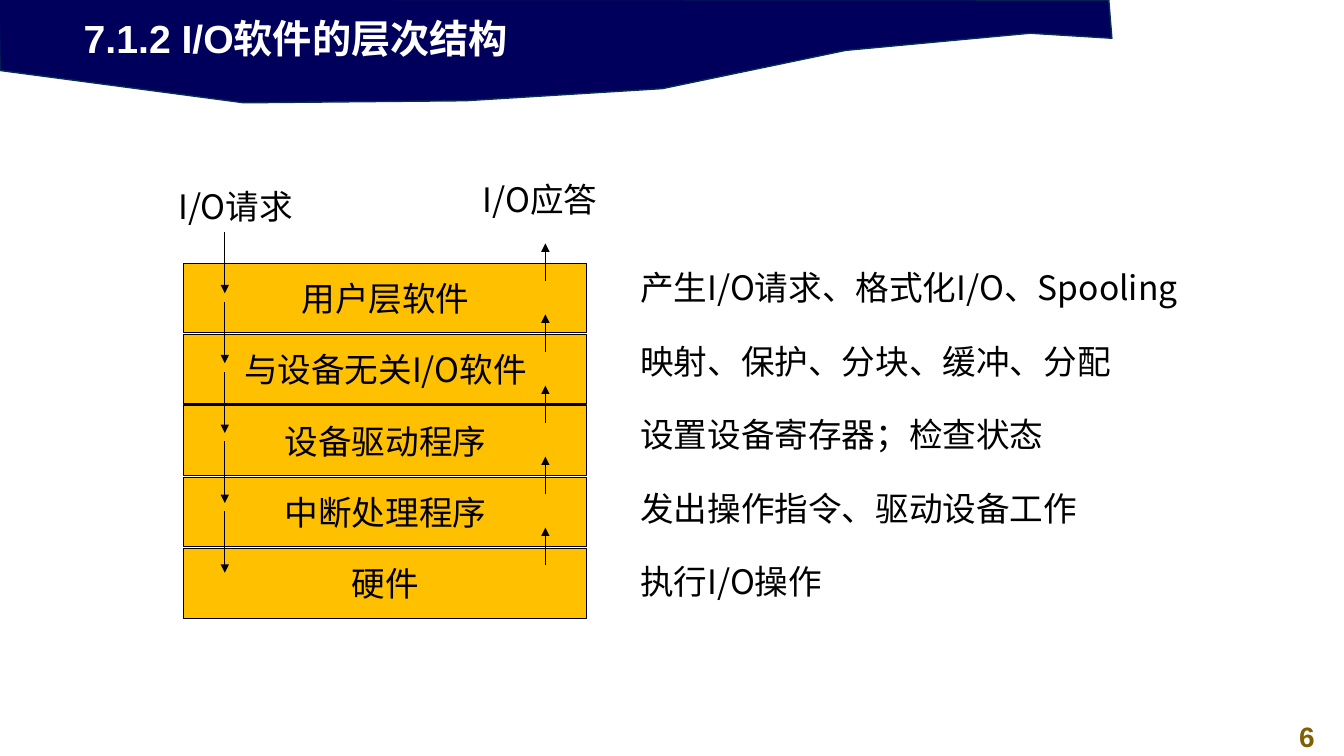
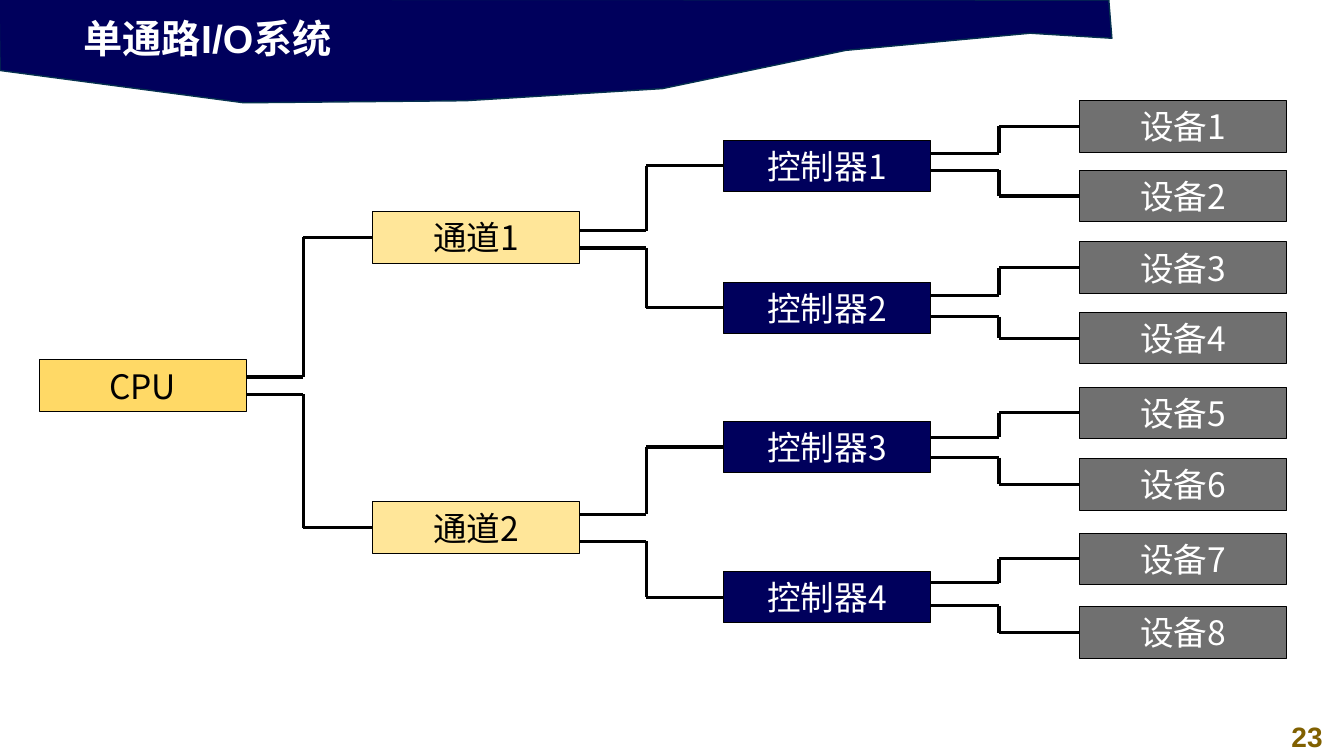
"""Build two slides on the layers of I/O software and a single-path I/O system."""
from dataclasses import dataclass

from lxml import etree
from pptx import Presentation
from pptx import util as u
from pptx.dml.color import RGBColor
from pptx.enum import shapes, text
from pptx.oxml import ns

HEIGHT = u.Inches(7.5)
WIDTH = HEIGHT * 16 // 9

NAVY = RGBColor(0x00, 0x00, 0x5C)
TEAL = RGBColor(0x05, 0x30, 0x4F)
BROWN = RGBColor(0x80, 0x60, 0x00)
AMBER = RGBColor(0xFF, 0xC0, 0x00)
GOLD = RGBColor(0xFF, 0xD9, 0x66)
CREAM = RGBColor(0xFF, 0xE6, 0x99)
GREY = RGBColor(0x70, 0x70, 0x70)
BLACK = RGBColor(0x00, 0x00, 0x00)
WHITE = RGBColor(0xFF, 0xFF, 0xFF)

HEAD_FONT = "Arial"
BODY_FONT = "Noto Sans CJK SC"

BAND = [(-0.08, -0.13), (0, 9.33), (18.15, 13.6), (34.65, 13.33), (49.28, 11.73),
        (62.93, 6.67), (76.65, 4.4), (82.73, 5.07), (82.5, 0)]
TITLE_AREA = (5.48, 1.2, 57.6, 7.6)
NUMBER_AREA = (94.5, 94.53, 5.5, 5.87)

LAYERS = [
    ("用户层软件", "产生I/O请求、格式化I/O、Spooling"),
    ("与设备无关I/O软件", "映射、保护、分块、缓冲、分配"),
    ("设备驱动程序", "设置设备寄存器；检查状态"),
    ("中断处理程序", "发出操作指令、驱动设备工作"),
    ("硬件", "执行I/O操作"),
]

NODE_WIDTH, NODE_HEIGHT = 15.38, 6.8


@dataclass
class Level:
    """One column of the tree: its look, node tops and pairs of branch starts."""
    name: str
    left: float
    fill: RGBColor
    ink: RGBColor
    tops: list
    exits: list
    bend: float = 0


LEVELS = [
    Level("CPU", 2.93, GOLD, BLACK, [47.6], [49.87, 52.13], 22.58),
    Level("通道", 27.75, CREAM, BLACK, [28, 66.4], [30.53, 32.8, 68, 71.6], 48.1),
    Level("控制器", 53.85, NAVY, WHITE, [18.53, 37.33, 55.73, 75.6],
          [20.27, 22.53, 39.07, 41.87, 57.87, 60.53, 77.07, 80.13], 74.33),
    Level("设备", 80.33, GREY, WHITE,
          [13.33, 22.53, 32, 41.33, 51.2, 60.67, 70.53, 80.27], []),
]


def across(share):
    """Turn a percentage of the slide width into a length."""
    return u.Emu(round(WIDTH * share / 100))


def down(share):
    """Turn a percentage of the slide height into a length."""
    return u.Emu(round(HEIGHT * share / 100))


def place(left, top, width, height):
    """Turn an area in percentages into four lengths."""
    return across(left), down(top), across(width), down(height)


def write(frame, words, size=24, ink=BLACK, face=BODY_FONT, bold=False,
          align=text.PP_ALIGN.LEFT, anchor=text.MSO_ANCHOR.TOP, wrap=True):
    """Put one formatted span into a text frame."""
    frame.word_wrap = wrap
    frame.auto_size = text.MSO_AUTO_SIZE.NONE
    frame.vertical_anchor = anchor
    para = frame.paragraphs[0]
    para.alignment = align
    span = para.add_run()
    span.text = words
    span.font.size = u.Pt(size)
    span.font.bold = bold
    span.font.name = face
    span.font.color.rgb = ink
    east = etree.SubElement(span.font._element, ns.qn("a:ea"))
    east.set("typeface", BODY_FONT)


def add_label(page, area, words, **style):
    """Add a text box."""
    box = page.shapes.add_textbox(*place(*area))
    write(box.text_frame, words, **style)


def paint(shape, fill, line, weight):
    """Give a shape a flat fill and an outline."""
    shape.shadow.inherit = False
    shape.fill.solid()
    shape.fill.fore_color.rgb = fill
    shape.line.color.rgb = line
    shape.line.width = u.Pt(weight)


def add_block(page, area, words, fill, ink=BLACK):
    """Add an outlined rectangle with centred text."""
    block = page.shapes.add_shape(shapes.MSO_SHAPE.RECTANGLE, *place(*area))
    paint(block, fill, BLACK, 0.75)
    write(block.text_frame, words, ink=ink, align=text.PP_ALIGN.CENTER,
          anchor=text.MSO_ANCHOR.MIDDLE, wrap=False)


def add_line(page, start, end, weight=2.25, arrow=False):
    """Add a straight line, with an arrowhead at its end on request."""
    line = page.shapes.add_connector(
        shapes.MSO_CONNECTOR.STRAIGHT, across(start[0]), down(start[1]),
        across(end[0]), down(end[1]))
    line.line.color.rgb = BLACK
    line.line.width = u.Pt(weight)
    if arrow:
        outline = line.line._get_or_add_ln()
        etree.SubElement(outline, ns.qn("a:tailEnd")).set("type", "triangle")
    etree.SubElement(line._element.spPr, ns.qn("a:effectLst"))


def add_elbow(page, start, bend, end):
    """Join two points by a horizontal, a vertical and a horizontal line."""
    points = [start, (bend, start[1]), (bend, end[1]), end]
    for first, second in zip(points, points[1:]):
        add_line(page, first, second)


def set_up_layout(layout, page):
    """Place the title and draw the band on the layout shared by all pages."""
    title = layout.placeholders[0]
    title.left, title.top, title.width, title.height = place(*TITLE_AREA)
    points = [(across(x), down(y)) for x, y in BAND]
    builder = page.shapes.build_freeform(*points[0])
    builder.add_line_segments(points[1:], close=True)
    band = builder.convert_to_shape()
    paint(band, NAVY, TEAL, 1)
    layout.shapes.element.insert(2, band.element)


def add_page(deck, layout, title, number):
    """Add a page with its title and page number."""
    page = deck.slides.add_slide(layout)
    write(page.shapes.title.text_frame, title, 28, WHITE, HEAD_FONT, True)
    add_label(page, NUMBER_AREA, number, size=20, ink=BROWN, face=HEAD_FONT,
              bold=True, align=text.PP_ALIGN.CENTER)
    return page


def draw_layers(page):
    """Draw the stack of layers, their duties and the request and reply arrows."""
    for row, (layer, duty) in enumerate(LAYERS):
        add_block(page, (13.68, 34.8 + 9.44 * row, 30, 9.2), layer, AMBER)
        add_label(page, (46.9, 34.67 + 9.73 * row, 49, 6.67), duty)
    for row in range(len(LAYERS)):
        request, reply = 30.67 + 9.24 * row, 37.2 + 9.4 * row
        add_line(page, (16.73, request), (16.73, request + 8.13), 0.75, True)
        add_line(page, (40.58, reply), (40.58, reply - 5), 0.75, True)
    add_label(page, (12.53, 23.87, 13, 6.67), "I/O请求")
    add_label(page, (35.18, 23.07, 13, 6.67), "I/O应答")


def draw_tree(page):
    """Draw the tree from the processor to the devices."""
    for level in LEVELS:
        for index, top in enumerate(level.tops, 1):
            words = f"{level.name}{index}" if len(level.tops) > 1 else level.name
            add_block(page, (level.left, top, NODE_WIDTH, NODE_HEIGHT), words,
                      level.fill, level.ink)
    for parent, child in zip(LEVELS, LEVELS[1:]):
        for leave, top in zip(parent.exits, child.tops):
            add_elbow(page, (parent.left + NODE_WIDTH, leave), parent.bend,
                      (child.left, top + NODE_HEIGHT / 2))


def main():
    """Build and save the deck."""
    deck = Presentation()
    deck.slide_width, deck.slide_height = WIDTH, HEIGHT
    layout = deck.slide_layouts.get_by_name("Title Only")
    layers = add_page(deck, layout, "7.1.2 I/O软件的层次结构", "6")
    set_up_layout(layout, layers)
    draw_layers(layers)
    draw_tree(add_page(deck, layout, "单通路I/O系统", "23"))
    deck.save("out.pptx")


if __name__ == "__main__":
    main()
